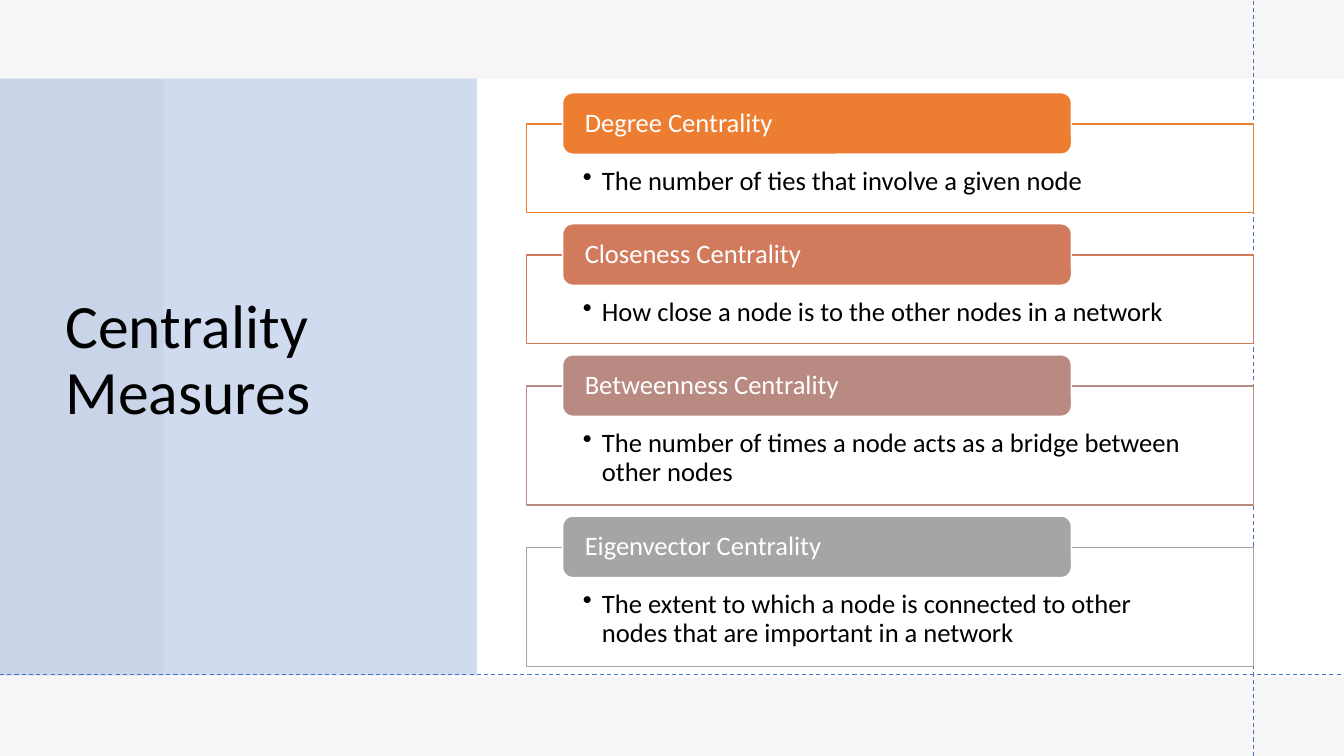
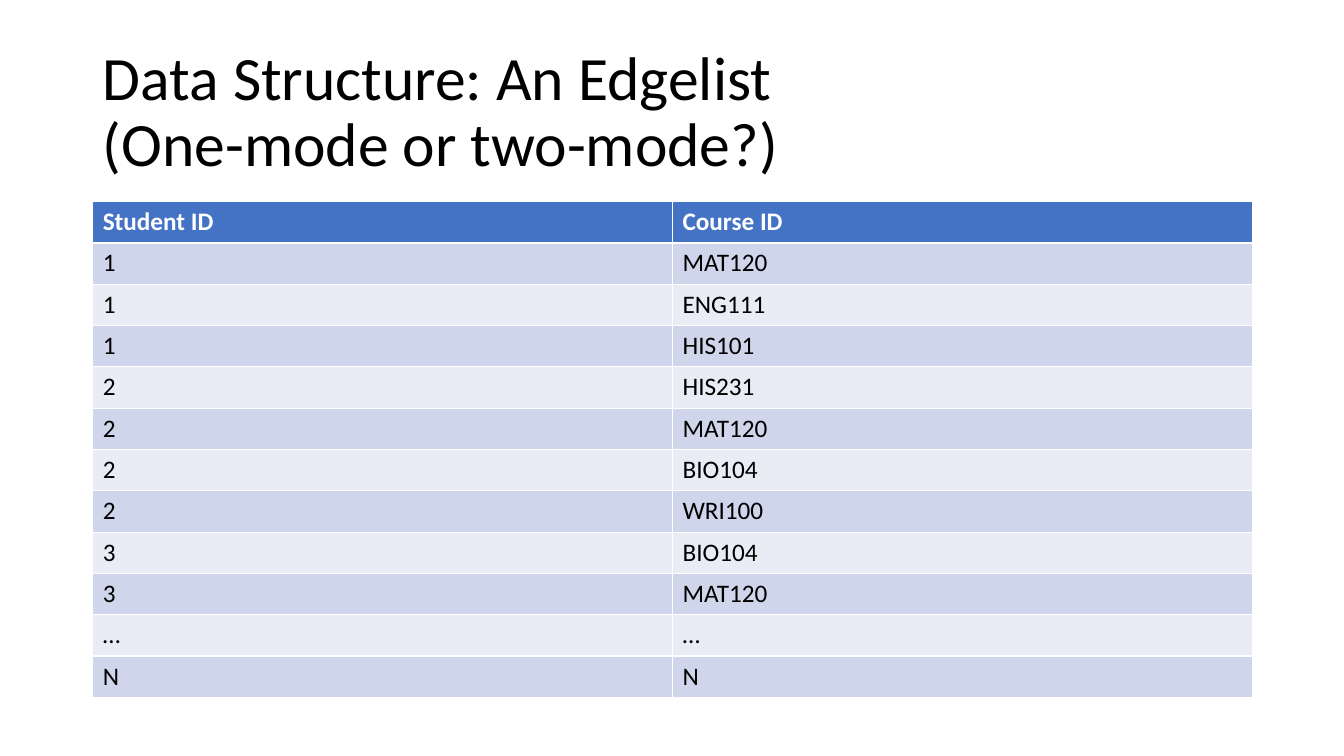
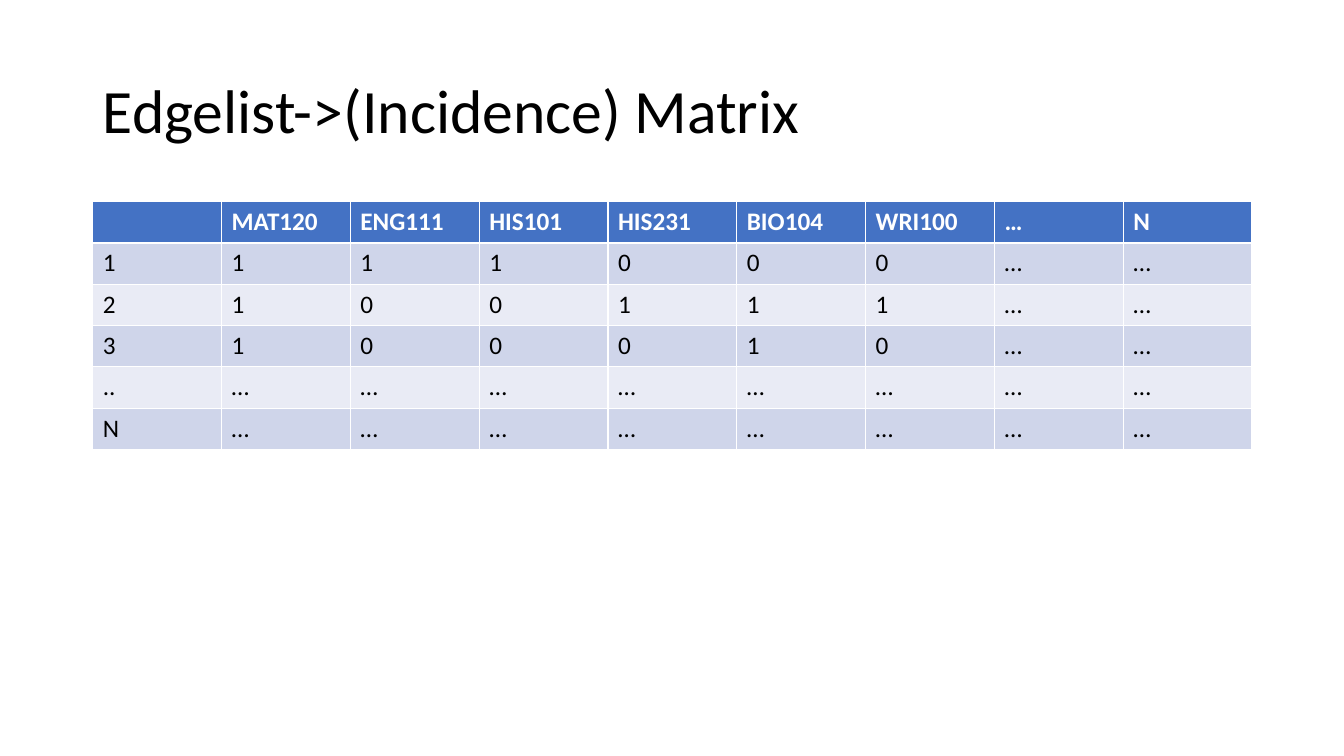
import dataclasses

import lxml.etree
import pptx
import pptx.dml.color
import pptx.enum.dml
import pptx.enum.shapes
import pptx.enum.text
import pptx.oxml.ns
import pptx.util

Inches = pptx.util.Inches
Shape = pptx.enum.shapes.MSO_SHAPE
Anchor = pptx.enum.text.MSO_ANCHOR
Align = pptx.enum.text.PP_ALIGN
qn = pptx.oxml.ns.qn


@dataclasses.dataclass(frozen=True)
class Theme:
    face: str = "Calibri"
    title: int = 44
    label: int = 19
    cell: int = 18
    white: str = "FFFFFF"
    black: str = "000000"
    grey: str = "E7E6E6"
    blue: str = "4472C4"
    bands: tuple = ("CFD5EA", "E9EBF5")


THEME = Theme()
WIDE, HIGH = 13.33, 7.5
TITLE = (0.92, 0.4, 11.5, 1.45)
TABLE = (0.92, 2, 11.5)
ROW = 0.41

PANELS = [
    ("Degree Centrality", "The number of ties that involve a given node", "ED7D31", 0.88),
    ("Closeness Centrality", "How close a node is to the other nodes in a network",
     "D17B5C", 0.88),
    ("Betweenness Centrality",
     "The number of times a node acts as a bridge between other nodes", "B98A82", 1.18),
    ("Eigenvector Centrality",
     "The extent to which a node is connected to other nodes that are important in a network",
     "A5A5A5", 1.18),
]

EDGES = [
    ("Student ID", "Course ID"),
    ("1", "MAT120"), ("1", "ENG111"), ("1", "HIS101"),
    ("2", "HIS231"), ("2", "MAT120"), ("2", "BIO104"), ("2", "WRI100"),
    ("3", "BIO104"), ("3", "MAT120"),
    ("…", "…"), ("N", "N"),
]

MATRIX = [
    ("", "MAT120", "ENG111", "HIS101", "HIS231", "BIO104", "WRI100", "…", "N"),
    ("1", "1", "1", "1", "0", "0", "0", "…", "…"),
    ("2", "1", "0", "0", "1", "1", "1", "…", "…"),
    ("3", "1", "0", "0", "0", "1", "0", "…", "…"),
    ("..",) + ("…",) * 8,
    ("N",) + ("…",) * 8,
]


def rgb(code):
    return pptx.dml.color.RGBColor.from_string(code)


def style(para, size, color, bold=False):
    font = para.font
    font.name, font.size, font.bold = THEME.face, pptx.util.Pt(size), bold
    font.color.rgb = rgb(color)


def paint(shape, color, alpha=100):
    """Fill a shape; alpha is its opacity in percent."""
    shape.fill.solid()
    shape.fill.fore_color.rgb = rgb(color)
    if alpha < 100:
        tone = shape.fill._xPr.find(qn("a:solidFill"))[0]
        lxml.etree.SubElement(tone, qn("a:alpha"), val=str(alpha * 1000))


def add_box(slide, box, color, alpha=100, edge=None, kind=Shape.RECTANGLE):
    shape = slide.shapes.add_shape(kind, *map(Inches, box))
    shape.shadow.inherit = False
    paint(shape, color, alpha)
    if edge:
        shape.line.color.rgb = rgb(edge)
        shape.line.width = pptx.util.Pt(1)
    else:
        shape.line.fill.background()
    return shape


def add_text(shape, text, color, pads, anchor):
    """Write one left-aligned label; pads are left, top, right, bottom."""
    frame = shape.text_frame
    frame.word_wrap = True
    frame.vertical_anchor = anchor
    (frame.margin_left, frame.margin_top,
     frame.margin_right, frame.margin_bottom) = map(Inches, pads)
    frame.text = text
    para = frame.paragraphs[0]
    para.alignment = Align.LEFT
    para.line_spacing = 0.9
    style(para, THEME.label, color)
    return para


def add_bullet(para, indent):
    props = para._p.get_or_add_pPr()
    props.set("marL", str(Inches(indent)))
    props.set("indent", str(-Inches(indent)))
    mark = lxml.etree.Element(qn("a:buChar"), char="•")
    props.find(qn("a:defRPr")).addprevious(mark)


def add_guide(slide, *ends):
    line = slide.shapes.add_connector(
        pptx.enum.shapes.MSO_CONNECTOR.STRAIGHT, *map(Inches, ends))
    line.line.color.rgb = rgb(THEME.blue)
    line.line.width = pptx.util.Pt(0.75)
    line.line.dash_style = pptx.enum.dml.MSO_LINE.DASH
    lxml.etree.SubElement(line._element.spPr, qn("a:effectLst"))


def add_slide(deck, text, box=TITLE):
    """Add a title-only slide with the shared title style."""
    slide = deck.slides.add_slide(deck.slide_layouts[5])
    title = slide.shapes.title
    title.left, title.top, title.width, title.height = map(Inches, box)
    frame = title.text_frame
    frame.text = text
    frame.word_wrap = True
    frame.auto_size = pptx.enum.text.MSO_AUTO_SIZE.NONE
    frame.vertical_anchor = Anchor.MIDDLE
    para = frame.paragraphs[0]
    para.alignment = Align.LEFT
    para.line_spacing = 0.9
    style(para, THEME.title, THEME.black)
    return slide


def add_back(slide):
    """Lay the washes and guides, with the title in front of the washes."""
    page = (0, 0, WIDE, HIGH)
    add_box(slide, page, THEME.white)
    add_box(slide, page, THEME.grey, 35)
    add_box(slide, (1.62, 0.78, WIDE - 1.62, 5.94), THEME.white)
    add_box(slide, (0, 0.78, 4.73, 5.92), THEME.blue, 25)
    slide.shapes._spTree.append(slide.shapes.title._element)
    add_guide(slide, 12.43, HIGH, 12.43, 0)
    add_guide(slide, 0, 6.69, WIDE, 6.69)


def add_panel(slide, box, head, body, color):
    """Draw a bulleted frame with a tab over its top edge."""
    left, top, width, _ = box
    frame = add_box(slide, box, THEME.white, 90, color)
    para = add_text(frame, body, THEME.black, (0.56, 0.43, 0.56, 0.15), Anchor.TOP)
    add_bullet(para, 0.19)
    tab = add_box(slide, (left + 0.36, top - 0.31, width * 0.7, 0.61),
                  color, edge=THEME.white, kind=Shape.ROUNDED_RECTANGLE)
    add_text(tab, head, THEME.white, (0.19, 0, 0.19, 0), Anchor.MIDDLE)


def add_panels(slide, left, top, width, gap):
    for head, body, color, height in PANELS:
        add_panel(slide, (left, top, width, height), head, body, color)
        top += height + gap


def add_grid(slide, rows, left, top, width):
    count = len(rows[0])
    table = slide.shapes.add_table(
        len(rows), count, *map(Inches, (left, top, width, ROW * len(rows)))).table
    for col in table.columns:
        col.width = Inches(width / count)
    for i, row in enumerate(rows):
        table.rows[i].height = Inches(ROW)
        for j, text in enumerate(row):
            cell = table.cell(i, j)
            cell.text = text
            paint(cell, THEME.bands[(i - 1) % 2] if i else THEME.blue)
            style(cell.text_frame.paragraphs[0], THEME.cell,
                  THEME.black if i else THEME.white, bold=not i)


def main():
    deck = pptx.Presentation()
    deck.slide_width, deck.slide_height = Inches(WIDE), Inches(HIGH)

    slide = add_slide(deck, "Centrality Measures", (0.55, 0.74, 3.95, 5.69))
    add_back(slide)
    add_panels(slide, 5.22, 1.23, 7.21, 0.42)

    for title, rows in (
        ("Data Structure: An Edgelist\v(One-mode or two-mode?)", EDGES),
        ("Edgelist->(Incidence) Matrix", MATRIX),
    ):
        add_grid(add_slide(deck, title), rows, *TABLE)

    deck.save("out.pptx")


if __name__ == "__main__":
    main()
